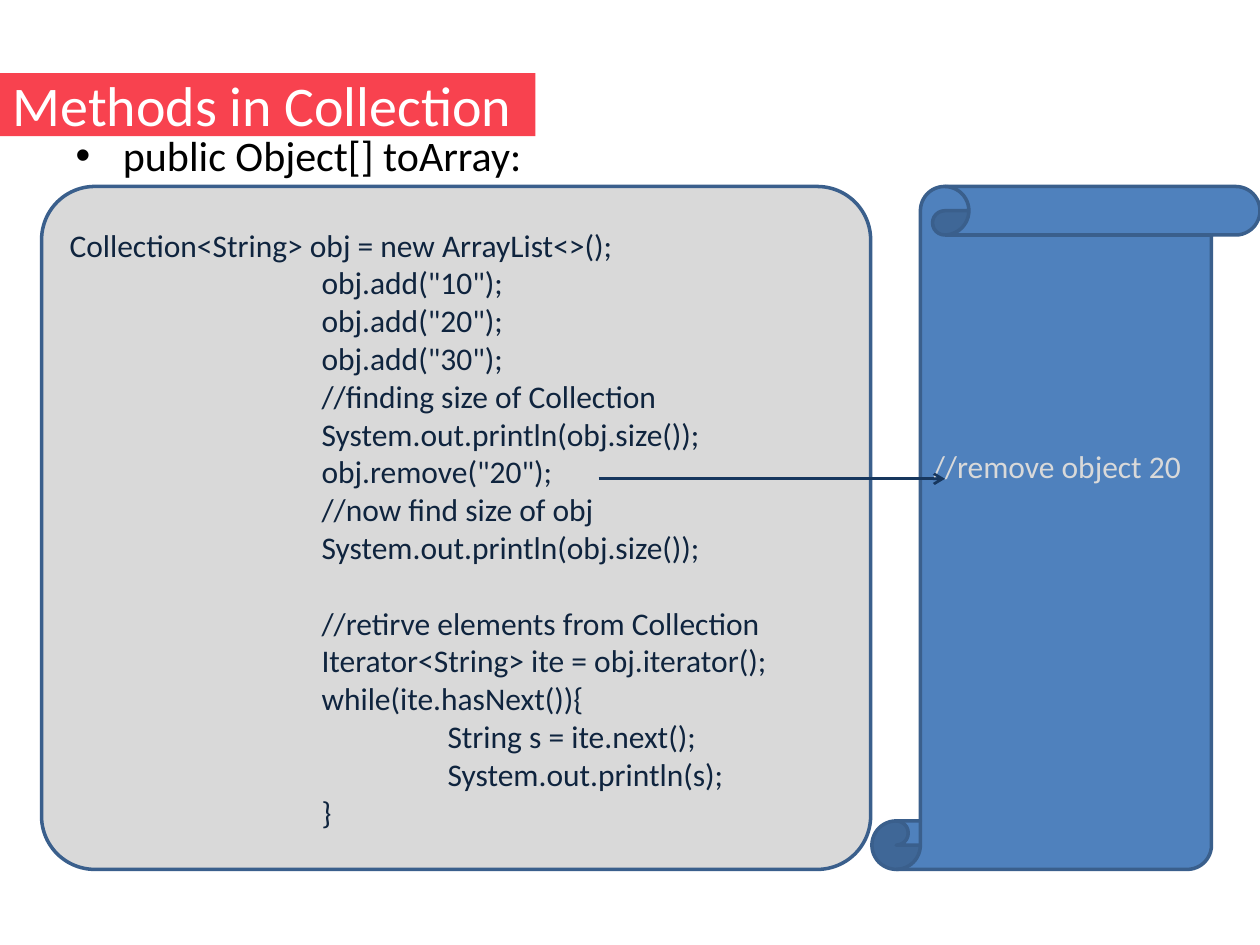
"""Build the slide on converting a Collection to an array."""
from lxml import etree
from pptx import Presentation
from pptx.dml.color import RGBColor
from pptx.enum.shapes import MSO_CONNECTOR, MSO_SHAPE
from pptx.enum.text import MSO_ANCHOR, MSO_AUTO_SIZE, PP_ALIGN
from pptx.oxml.ns import qn
from pptx.util import Inches, Pt

STRAIGHT = MSO_CONNECTOR.STRAIGHT
ROUNDED, SCROLL = MSO_SHAPE.ROUNDED_RECTANGLE, MSO_SHAPE.VERTICAL_SCROLL
TOP, MIDDLE = MSO_ANCHOR.TOP, MSO_ANCHOR.MIDDLE
LEFT = PP_ALIGN.LEFT
NO_FIT = MSO_AUTO_SIZE.NONE

RED = RGBColor(0xF8, 0x42, 0x4F)
WHITE = RGBColor(0xFF, 0xFF, 0xFF)
BLACK = RGBColor(0, 0, 0)
GRAY = RGBColor(0xD9, 0xD9, 0xD9)
BLUE = RGBColor(0x4F, 0x81, 0xBD)
EDGE = RGBColor(0x3A, 0x5F, 0x8C)
NAVY = RGBColor(0x0F, 0x24, 0x3E)
ARROW = RGBColor(0x17, 0x37, 0x5E)

HEADING = "Methods in Collection"
METHOD = "public Object[] toArray:"
REMARK = "//remove object 20"
CODE_LINES = [
    (0, "Collection<String> obj = new ArrayList<>();"),
    (2, 'obj.add("10");'),
    (2, 'obj.add("20");'),
    (2, 'obj.add("30");'),
    (2, "//finding size of Collection"),
    (2, "System.out.println(obj.size());"),
    (2, 'obj.remove("20");'),
    (2, "//now find size of obj"),
    (2, "System.out.println(obj.size());"),
    (2, "//retirve elements from Collection"),
    (2, "Iterator<String> ite = obj.iterator();"),
    (2, "while(ite.hasNext()){"),
    (3, "String s = ite.next();"),
    (3, "System.out.println(s);"),
    (2, "}"),
]
SECTION_START = "//retirve elements from Collection"
LINE_PITCH = Pt(21.6)
PANEL_TOP, PANEL_HEIGHT = 1.48, 5.42


def place(shape, left, top, width, height):
    shape.left, shape.top = Inches(left), Inches(top)
    shape.width, shape.height = Inches(width), Inches(height)


def write(paragraph, text, size, color):
    paragraph.alignment = LEFT
    run = paragraph.add_run()
    run.text = text
    run.font.name = "Calibri"
    run.font.size = Pt(size)
    run.font.color.rgb = color


def add_panel(kind, left, width, fill, anchor):
    panel = slide.shapes.add_shape(kind, Inches(left), Inches(PANEL_TOP),
                                   Inches(width), Inches(PANEL_HEIGHT))
    panel.shadow.inherit = False
    panel.fill.solid()
    panel.fill.fore_color.rgb = fill
    panel.line.color.rgb = EDGE
    panel.line.width = Pt(2)
    panel.text_frame.word_wrap = True
    panel.text_frame.vertical_anchor = anchor
    return panel


deck = Presentation()
deck.slide_width, deck.slide_height = Inches(10), Inches(7.5)
slide = deck.slides.add_slide(deck.slide_layouts[1])

heading = slide.shapes.title
place(heading, 0, 0.58, 4.25, 0.5)
heading.fill.solid()
heading.fill.fore_color.rgb = RED
heading.text_frame.auto_size = NO_FIT
heading.text_frame.vertical_anchor = MIDDLE
write(heading.text_frame.paragraphs[0], HEADING, 32, WHITE)

method = slide.placeholders[1]
place(method, 0.5, 0.98, 9.5, 6.1)
method.text_frame.auto_size = NO_FIT
write(method.text_frame.paragraphs[0], METHOD, 24, BLACK)

remark = add_panel(SCROLL, 6.92, 3.08, BLUE, TOP)
remark.text_frame.margin_top = Inches(1.68)
write(remark.text_frame.paragraphs[0], REMARK, 18, GRAY)

code = add_panel(ROUNDED, 0.33, 6.58, GRAY, MIDDLE)
code.adjustments[0] = 0.078
for number, (depth, text) in enumerate(CODE_LINES):
    frame = code.text_frame
    paragraph = frame.add_paragraph() if number else frame.paragraphs[0]
    write(paragraph, text, 18, NAVY)
    paragraph._p.get_or_add_pPr().set("marL", str(Inches(depth)))
    if text == SECTION_START:
        paragraph.space_before = LINE_PITCH

pointer = slide.shapes.add_connector(STRAIGHT, Inches(4.75), Inches(3.8),
                                     Inches(7.5), Inches(3.8))
pointer.line.color.rgb = ARROW
pointer.line.width = Pt(1.5)
etree.SubElement(pointer.line._get_or_add_ln(), qn("a:tailEnd"), type="arrow")
etree.SubElement(pointer._element.spPr, qn("a:effectLst"))

deck.save("out.pptx")
